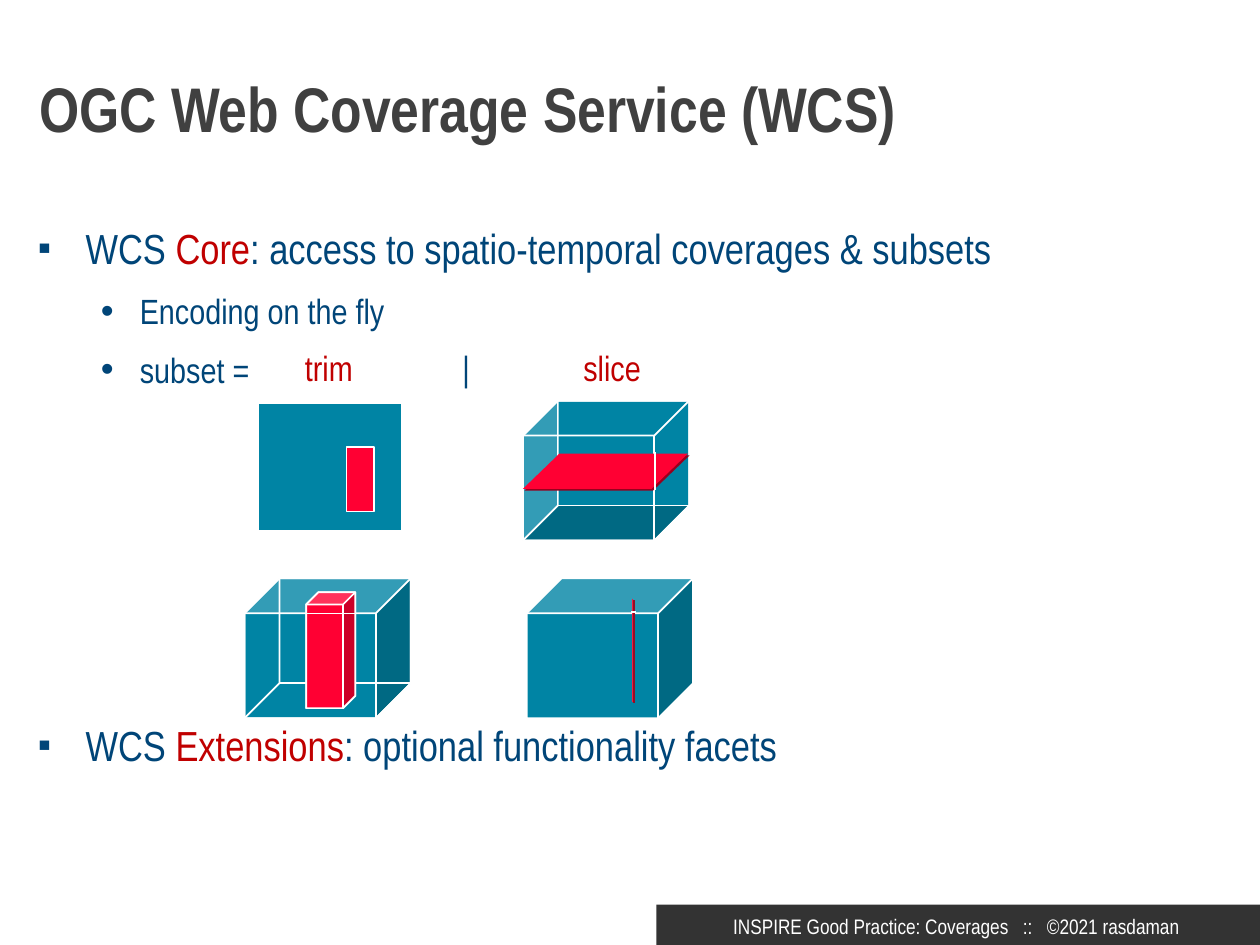
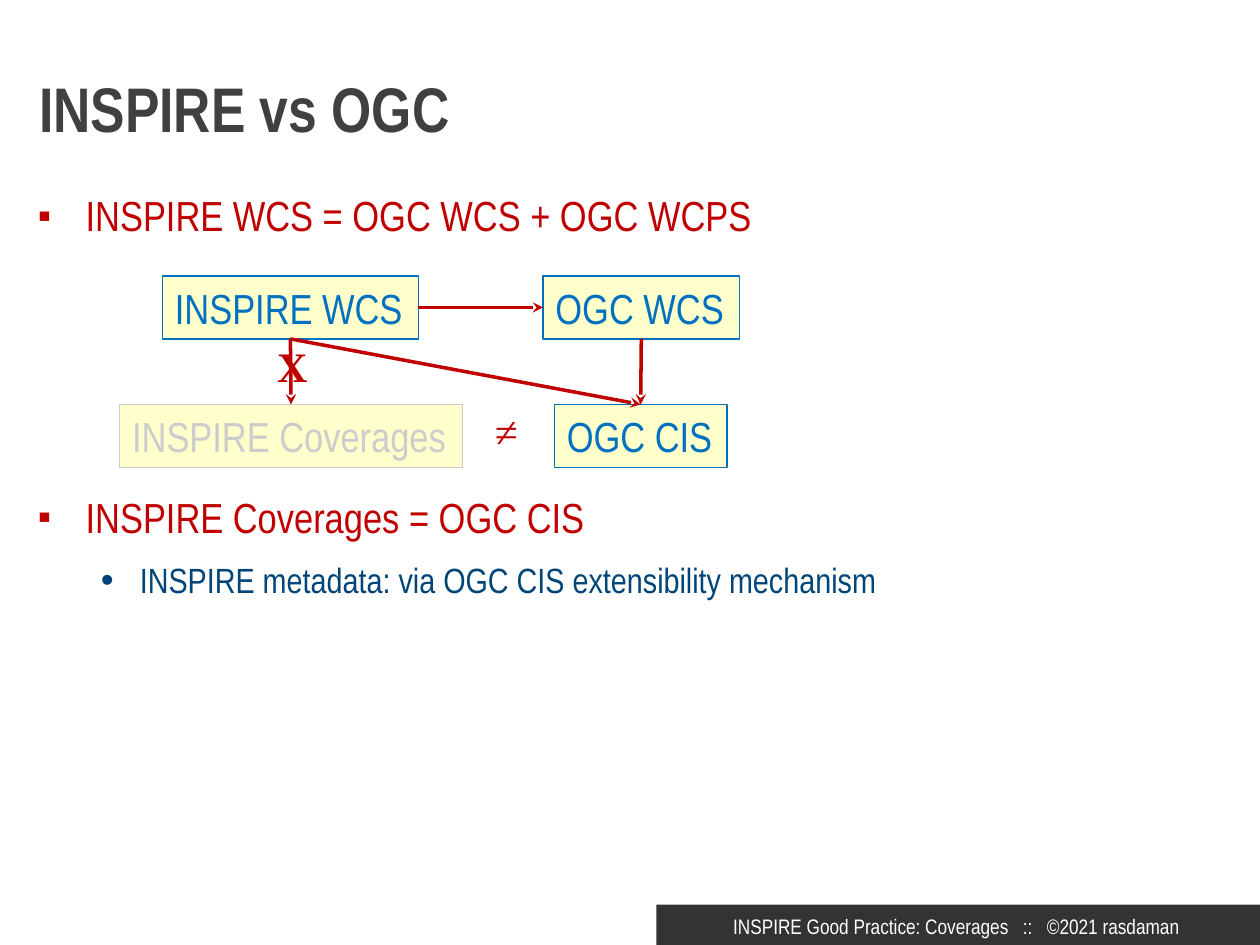
from lxml.etree import SubElement
from pptx import Presentation
from pptx.dml.color import RGBColor as RGB
from pptx.enum.shapes import MSO_CONNECTOR as CONN, MSO_SHAPE as SHAPE
from pptx.enum.text import MSO_ANCHOR as ANCHOR, MSO_AUTO_SIZE as AUTO, PP_ALIGN as ALIGN
from pptx.oxml.ns import qn
from pptx.util import Pt

PX = 9144  # EMU per px, 100 px to the inch

# Colours
WHITE, DARK, GREY = RGB(255, 255, 255), RGB(0x33, 0x33, 0x33), RGB(0x40, 0x40, 0x40)
NAVY, RED, BLUE = RGB(0, 0x45, 0x78), RGB(0xC0, 0, 0), RGB(0, 0x70, 0xC0)
CREAM, PALE = RGB(0xFF, 0xFF, 0xCC), RGB(0xCC, 0xCC, 0xCC)
TEAL, HOT, ROSE = RGB(0, 0x84, 0xA4), RGB(0xFF, 0, 0x33), RGB(0xF5, 0x19, 0x40)

# Text styles
SANS, SERIF = "Arial Narrow", "Times New Roman"
HEAD = dict(name=SANS, size=Pt(36), bold=True)
NOTE = dict(name=SANS, size=Pt(12))
BIG = dict(name=SANS, size=Pt(24), bold=False)
SMALL = dict(name=SANS, size=Pt(20), bold=False)
SIGN = dict(name=SERIF, size=Pt(24))
BARE = dict(margin_left=0, margin_top=0, margin_right=0, margin_bottom=0,
            auto_size=AUTO.NONE, word_wrap=True)
TIGHT = dict(word_wrap=False, auto_size=AUTO.SHAPE_TO_FIT_TEXT, vertical_anchor=ANCHOR.TOP)

# Bullet levels: left margin, hanging indent, mark, mark size, text style, line height
LEVELS = [(38, 38, "▪", 90, BIG, Pt(30)), (81, 31, "•", 105, SMALL, 1.0)]

# Shared footer, tab stops from the text edge
FOOT = "INSPIRE Good Practice: Coverages\t::\t©2021 rasdaman"
STOPS = [230, 249]

# Lists: level, space before in points, runs
WCS = [
    (0, 0, [("WCS", NAVY), (" Core", RED),
            (": access to spatio-temporal coverages & subsets", NAVY)]),
    (1, 9.5, [("Encoding on the fly", NAVY)]),
    (1, 9.5, [("subset =", NAVY)]),
    (0, 187, [("WCS ", NAVY), ("Extensions", RED), (": optional functionality facets", NAVY)]),
]
VERSUS = [
    (0, 0, [("INSPIRE WCS = OGC WCS + OGC WCPS", RED)]),
    (0, 142.5, [("INSPIRE Coverages = OGC CIS", RED)]),
    (1, 9.5, [("INSPIRE metadata: via OGC CIS extensibility mechanism", NAVY)]),
]

# Heads over the subset figures: text, left, colour
HEADS = [("trim", 242, RED), ("|", 367, NAVY), ("slice", 463, RED)]

# Cube layers: turned, fill, line
BLOCK = (132, 111)
BASE = (False, TEAL, None)
GLASS = [BASE, (True, TEAL, WHITE), (False, None, WHITE)]
SOLID = [BASE, (True, TEAL, WHITE), (False, TEAL, WHITE)]
FRAME = [BASE, (True, None, WHITE), (False, None, WHITE)]
BAR = [(True, HOT, WHITE), (False, HOT, WHITE)]
PLANE = [(415, 388), (517, 388), (546, 360), (444, 360)]

# Service boxes: left, top, width, colour; links join edge sites
TOP, LEFT, BOTTOM, RIGHT = range(4)
BOXES = {
    "INSPIRE WCS": (129, 219, 203, BLUE),
    "OGC WCS": (431, 219, 156, BLUE),
    "OGC CIS": (440, 321, 137, BLUE),
    "INSPIRE Coverages": (95, 321, 272, PALE),
}
LINKS = [
    ("INSPIRE WCS", BOTTOM, "INSPIRE Coverages", TOP),
    ("OGC WCS", BOTTOM, "OGC CIS", TOP),
    ("INSPIRE WCS", RIGHT, "OGC WCS", LEFT),
    ("INSPIRE WCS", BOTTOM, "OGC CIS", TOP),
]
SIGNS = [("≠", 383, 317, 39, False), ("X", 210, 265, 45, True)]


def emu(*vals):
    return [round(v * PX) for v in vals]


def style(obj, vals):
    for key, val in vals.items():
        setattr(obj, key, val)


def write(para, text, look, color):
    run = para.add_run()
    run.text = text
    style(run.font, look)
    run.font.color.rgb = color


def effect(shp, shade=None):
    """Clear the theme shadow, or set a hard one in the given colour."""
    fx = SubElement(shp._element.spPr, qn("a:effectLst"))
    if shade:
        drop = SubElement(fx, qn("a:outerShdw"), dist="17780", dir="2700000")
        SubElement(drop, qn("a:srgbClr"), val=shade)


def paint(shp, fill, line, width=1, shade=None):
    effect(shp, shade)
    for part, color in ((shp.fill, fill), (shp.line.fill, line)):
        if color is None:
            part.background()
        else:
            part.solid()
            part.fore_color.rgb = color
    if line is not None:
        shp.line.width = Pt(width)
    return shp


def block(shapes, kind, box, fill, line=None, width=1):
    return paint(shapes.add_shape(kind, *emu(*box)), fill, line, width)


def rule(shapes, ends, color, width=1, shade=None):
    line = shapes.add_connector(CONN.STRAIGHT, *emu(*ends))
    line.line.color.rgb = color
    line.line.width = Pt(width)
    effect(line, shade)
    return line


def label(shapes, text, box, look, color, frame):
    area = shapes.add_textbox(*emu(*box)).text_frame
    style(area, frame)
    write(area.paragraphs[0], text, look, color)
    return area.paragraphs[0]


def tabs(para, stops):
    row = SubElement(para._p.get_or_add_pPr(), qn("a:tabLst"))
    for pos in emu(*stops):
        SubElement(row, qn("a:tab"), pos=str(pos), algn="l")


def bullet(para, level):
    left, hang, mark, size, look, height = LEVELS[level]
    para.level = level
    para.line_spacing = height
    para.space_after = Pt(0)
    props = para._p.get_or_add_pPr()
    left, hang = emu(left, hang)
    props.set("marL", str(left))
    props.set("indent", str(-hang))
    SubElement(props, qn("a:buSzPct"), val=str(size * 1000))
    SubElement(props, qn("a:buFont"), typeface="Arial")
    SubElement(props, qn("a:buChar"), char=mark)
    return look


def place(holder, box):
    style(holder, dict(zip(("left", "top", "width", "height"), emu(*box))))
    style(holder.text_frame, BARE)
    return holder.text_frame


def page(deck, title, top, items):
    """Slide with footer band, title and bullet list."""
    slide = deck.slides.add_slide(deck.slide_layouts[1])
    block(slide.shapes, SHAPE.RECTANGLE, (521, 718, 479, 32), DARK)
    tabs(label(slide.shapes, FOOT, (572, 720, 428, 30), NOTE, WHITE, dict(word_wrap=True)), STOPS)

    head = place(slide.shapes.title, (31, 42, 821, 73))
    head.vertical_anchor = ANCHOR.BOTTOM
    head.paragraphs[0].alignment = ALIGN.LEFT
    write(head.paragraphs[0], title, HEAD, GREY)

    body = place(slide.placeholders[1], (30, top, 955, 500))
    body.vertical_anchor = ANCHOR.TOP
    for i, (level, gap, runs) in enumerate(items):
        para = body.add_paragraph() if i else body.paragraphs[0]
        para.space_before = Pt(gap)
        look = bullet(para, level)
        for text, color in runs:
            write(para, text, look, color)
    return slide.shapes


def cubes(shapes, x, y, size, layers):
    """Stack cube layers; a turned one shows its left and bottom faces."""
    wide, high = size
    for turned, fill, line in layers:
        box = (x, y, wide, high)
        if turned:
            box = (x + (wide - high) / 2, y + (high - wide) / 2, high, wide)
        cube = block(shapes, SHAPE.CUBE, box, fill, line)
        cube.adjustments[0] = 0.25
        if turned:
            cube.rotation = 270
            cube._element.spPr.find(qn("a:xfrm")).set("flipH", "1")


def coverage(deck):
    shapes = page(deck, "OGC Web Coverage Service (WCS)", 175, WCS)
    for text, x, color in HEADS:
        label(shapes, text, (x, 275, 60, 32), SMALL, color, BARE)

    # Slices: a plane and a line
    cuts = shapes.add_group_shape().shapes
    cubes(cuts, 415, 318, BLOCK, GLASS)
    path = cuts.build_freeform(*PLANE[0], scale=PX)
    path.add_line_segments(PLANE[1:], close=True)
    paint(path.convert_to_shape(), HOT, None, shade="98001E")
    rule(cuts, (520, 359, 520, 389), WHITE)
    cubes(cuts, 418, 459, BLOCK, SOLID)
    rule(cuts, (502, 475, 502, 557), ROSE, shade="920E26")
    rule(cuts, (501, 486, 505, 486), WHITE)

    # Trims: a rectangle and a bar
    trims = shapes.add_group_shape().shapes
    for box, fill in (((205, 320, 114, 101), TEAL), ((275, 355, 22, 51), HOT)):
        block(trims, SHAPE.RECTANGLE, box, fill, WHITE)
    cubes(trims, 194, 459, BLOCK, FRAME)
    cubes(trims, 243, 470, (39, 92), BAR)
    rule(trims, (242, 487, 282, 487), WHITE)


def versus(deck):
    shapes = page(deck, "INSPIRE vs OGC", 149, VERSUS)

    # Boxes
    made = {}
    for name, (x, y, wide, color) in BOXES.items():
        box = block(shapes, SHAPE.RECTANGLE, (x, y, wide, 50), CREAM, color, 0.75)
        style(box.text_frame, TIGHT)
        para = box.text_frame.paragraphs[0]
        para.alignment = ALIGN.LEFT
        write(para, name, BIG, color)
        made[name] = box

    # Arrows and signs
    for start, out, end, into in LINKS:
        link = rule(shapes, (0, 0, 0, 0), RED, 2)
        link.begin_connect(made[start], out)
        link.end_connect(made[end], into)
        SubElement(link.line._get_or_add_ln(), qn("a:tailEnd"), type="stealth")
    for text, x, y, wide, bold in SIGNS:
        label(shapes, text, (x, y, wide, 50), dict(SIGN, bold=bold), RED, TIGHT)


def main():
    deck = Presentation()
    deck.slide_width, deck.slide_height = emu(1000, 750)
    coverage(deck)
    versus(deck)
    deck.save("out.pptx")


if __name__ == "__main__":
    main()
